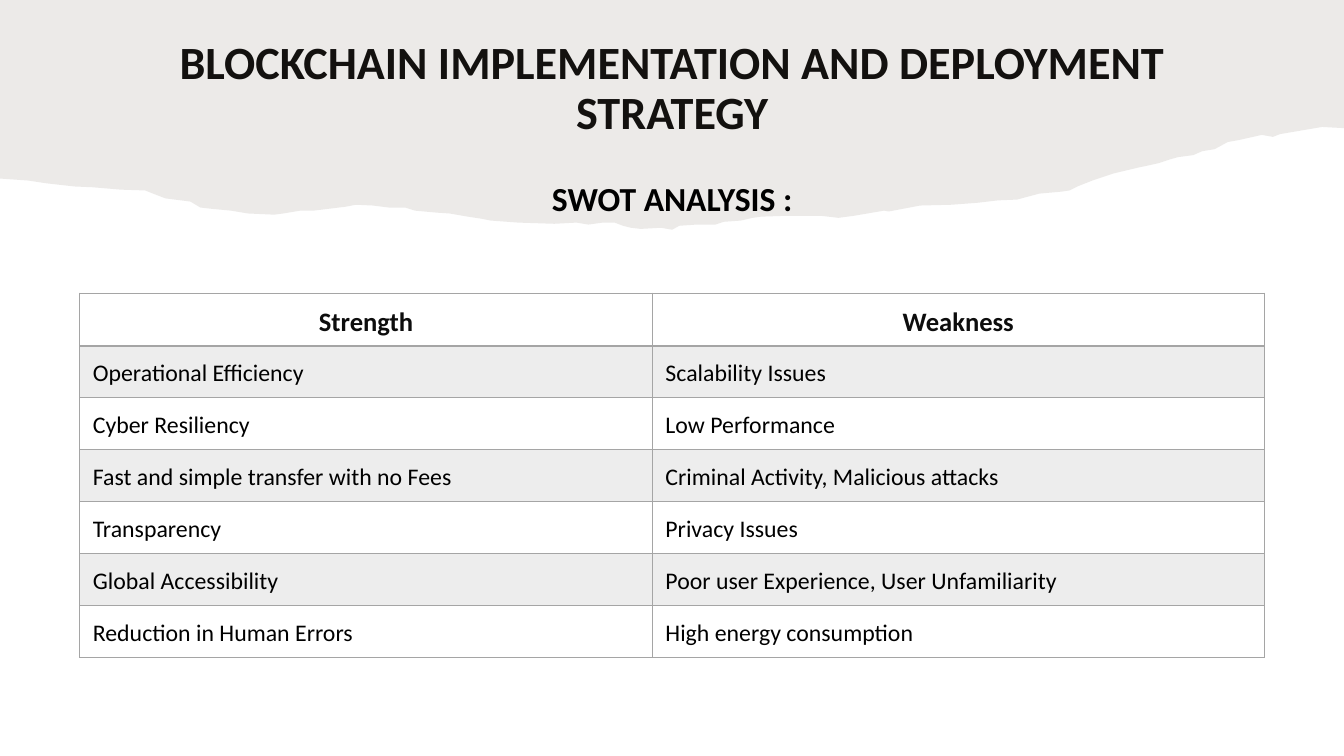
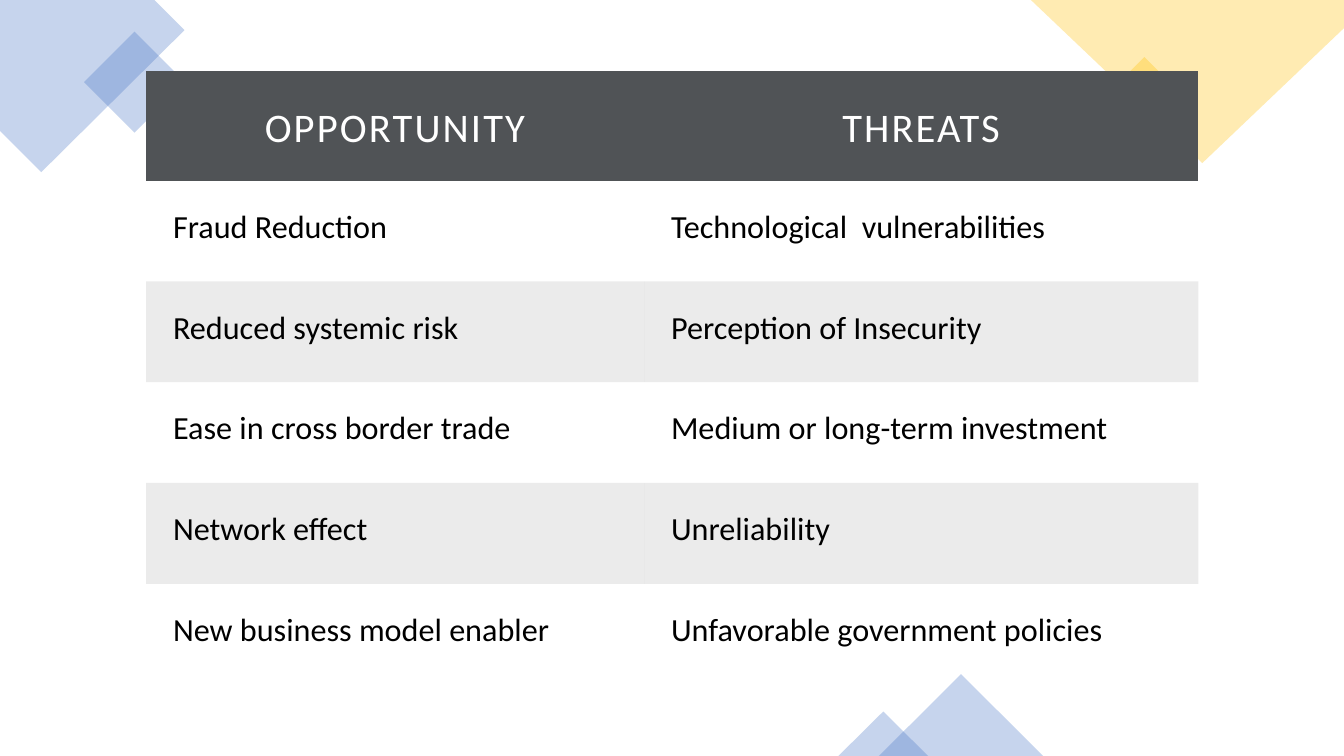
from lxml import etree
from pptx import Presentation
from pptx import util as u
from pptx.dml import color
from pptx.enum import shapes, text
from pptx.oxml import ns

FONT = "Calibri"
BLACK, WHITE, BLUE, GOLD = "000000", "FFFFFF", "4472C4", "FFC000"
GREY, HEADER_GREY, HEADER_INK, PAPER = "A5A5A5", "505356", "0D0D0D", "82766A"
NO_STYLE = "{2D5ABB26-0587-4C30-8999-92F81FD0307C}"
WIDTH, HEIGHT = 33.87, 19.05
CENTER, LEFT = text.PP_ALIGN.CENTER, text.PP_ALIGN.LEFT
TOP, MIDDLE, BOTTOM = (text.MSO_ANCHOR.TOP, text.MSO_ANCHOR.MIDDLE,
                       text.MSO_ANCHOR.BOTTOM)

# Lower edge of the torn paper, right to left, in cm
TORN_EDGE = [
    (33.87, 3.23), (33.32, 3.2), (32.26, 3.38), (32.08, 3.45), (31.8, 3.4),
    (31.22, 3.53), (30.94, 3.58), (30.61, 3.76), (30.3, 3.81), (30.07, 3.91),
    (29.69, 3.96), (29.51, 4.01), (29.21, 4.11), (28.85, 4.19), (28.7, 4.22),
    (28.07, 4.37), (27.53, 4.55), (27.15, 4.7), (26.95, 4.8), (26.75, 4.83),
    (26.19, 4.88), (25.63, 5.03), (25.15, 5.05), (24.64, 5.11), (23.98, 5.16),
    (23.19, 5.18), (22.4, 5.33), (22.28, 5.31), (21.51, 5.44), (21.13, 5.49),
    (20.7, 5.44), (19.79, 5.44), (19.18, 5.46), (18.97, 5.49), (18.67, 5.56),
    (18.24, 5.59), (18.03, 5.66), (17.55, 5.66), (17.12, 5.69), (16.94, 5.79),
    (16.66, 5.74), (16.15, 5.77), (15.9, 5.74), (15.7, 5.69), (15.49, 5.61),
    (15.19, 5.61), (14.83, 5.66), (14.53, 5.61), (13.97, 5.64), (13.06, 5.61),
    (12.37, 5.56), (12.12, 5.51), (11.79, 5.46), (11.33, 5.38), (11.02, 5.36),
    (10.46, 5.31), (10.21, 5.23), (9.8, 5.23), (9.4, 5.18), (8.97, 5.16),
    (8.71, 5.21), (7.9, 5.31), (7.57, 5.31), (7.14, 5.38), (6.91, 5.41),
    (6.25, 5.38), (5.82, 5.31), (5.31, 5.26), (5.05, 5.23), (4.8, 5.08),
    (4.17, 5), (3.86, 4.88), (3.66, 4.8), (3.05, 4.78), (2.34, 4.72),
    (1.88, 4.7), (1.17, 4.62), (0.71, 4.55), (0, 4.5),
]

STRENGTHS = [
    ("Strength", "Weakness"),
    ("Operational Efficiency", "Scalability Issues"),
    ("Cyber Resiliency", "Low Performance"),
    ("Fast and simple transfer with no Fees",
     "Criminal Activity, Malicious attacks"),
    ("Transparency", "Privacy Issues"),
    ("Global Accessibility", "Poor user Experience, User Unfamiliarity"),
    ("Reduction in Human Errors", "High energy consumption"),
]
OPPORTUNITIES = [
    ("OPPORTUNITY", "THREATS"),
    ("Fraud Reduction", "Technological  vulnerabilities"),
    ("Reduced systemic risk", "Perception of Insecurity"),
    ("Ease in cross border trade", "Medium or long-term investment"),
    ("Network effect", "Unreliability"),
    ("New business model enabler", "Unfavorable government policies"),
]


def rgb(value):
    return color.RGBColor.from_string(value)


def paint(fill, properties, value, opacity=100):
    """Solid fill; properties is the XML element that holds it."""
    fill.solid()
    fill.fore_color.rgb = rgb(value)
    if opacity < 100:
        solid = properties.find(ns.qn("a:solidFill"))
        alpha = etree.SubElement(solid[0], ns.qn("a:alpha"))
        alpha.set("val", str(opacity * 1000))


def tint(shape, value, opacity):
    shape.shadow.inherit = False
    shape.line.fill.background()
    paint(shape.fill, shape._element.spPr, value, opacity)


def write(paragraph, words, size, ink=BLACK, bold=False, align=CENTER,
          tracking=0):
    paragraph.alignment = align
    run = paragraph.add_run()
    run.text = words
    font = run.font
    font.name, font.size, font.bold = FONT, u.Pt(size), bold
    font.color.rgb = rgb(ink)
    if tracking:
        run._r.get_or_add_rPr().set("spc", str(round(tracking * 100)))


def heading(shape, box, words, size, anchor):
    """Bold centred heading in a placeholder or text box."""
    shape.left, shape.top, shape.width, shape.height = map(u.Cm, box)
    frame = shape.text_frame
    frame.word_wrap = True
    frame.auto_size = text.MSO_AUTO_SIZE.NONE
    frame.vertical_anchor = anchor
    frame.paragraphs[0].line_spacing = 0.9
    write(frame.paragraphs[0], words, size, bold=True)


def outline(slide, points, value, opacity):
    corners = [(u.Cm(x), u.Cm(y)) for x, y in points]
    builder = slide.shapes.build_freeform(*corners[0])
    builder.add_line_segments(corners[1:], close=True)
    tint(builder.convert_to_shape(), value, opacity)


def preset(slide, kind, box, value, rotation=0):
    shape = slide.shapes.add_shape(kind, *map(u.Cm, box))
    shape.rotation = rotation
    tint(shape, value, 30)


def border(cell, value, **widths):
    """Cell edges by side: L, R, T, B, in that order."""
    properties = cell._tc.get_or_add_tcPr()
    for side, width in widths.items():
        edge = etree.SubElement(properties, ns.qn("a:ln" + side))
        edge.set("w", str(u.Pt(width)))
        solid = etree.SubElement(edge, ns.qn("a:solidFill"))
        etree.SubElement(solid, ns.qn("a:srgbClr")).set("val", value)


def swot_table(slide, origin, columns, heights, rows, insets, header, body_size,
               anchor, band, banded, header_fill=None, grid=None):
    """Two-column table; band is (colour, opacity) for rows in banded."""
    left, top = origin
    head_height, row_height = heights
    total = head_height + row_height * (len(rows) - 1)
    table = slide.shapes.add_table(
        len(rows), len(columns), u.Cm(left), u.Cm(top),
        u.Cm(sum(columns)), u.Cm(total)).table
    table.first_row = table.horz_banding = False
    table._tbl.tblPr.find(ns.qn("a:tableStyleId")).text = NO_STYLE
    for column, width in zip(table.columns, columns):
        column.width = u.Cm(width)

    for r, labels in enumerate(rows):
        table.rows[r].height = u.Cm(row_height if r else head_height)
        for c, label in enumerate(labels):
            cell = table.cell(r, c)
            (cell.margin_left, cell.margin_top, cell.margin_right,
             cell.margin_bottom) = map(u.Cm, insets)
            cell.vertical_anchor = TOP if r else anchor
            if grid:
                border(cell, grid, L=1, R=1, T=2 if r == 1 else 1,
                       B=1 if r else 2)
            properties = cell._tc.get_or_add_tcPr()
            if r == 0 and header_fill:
                paint(cell.fill, properties, header_fill)
            elif r in banded:
                paint(cell.fill, properties, *band)
            else:
                cell.fill.background()
            style = dict(size=body_size, align=LEFT) if r else header
            write(cell.text_frame.paragraphs[0], label, **style)


def strengths_slide(prs):
    slide = prs.slides.add_slide(prs.slide_layouts[5])
    # Torn paper header
    outline(slide, [(0, 0), (WIDTH, 0)] + TORN_EDGE, PAPER, 15)
    # Title and subtitle
    heading(slide.shapes.title, (2.31, 1.37, 29.26, 2.26),
            "BLOCKCHAIN IMPLEMENTATION AND DEPLOYMENT STRATEGY", 33, BOTTOM)
    subtitle_box = (5.23, 4.47, 23.42, 1.09)
    subtitle = slide.shapes.add_textbox(*map(u.Cm, subtitle_box))
    heading(subtitle, subtitle_box, "SWOT ANALYSIS :", 24, TOP)
    # Strengths and weaknesses
    swot_table(slide, (2.01, 7.39), (14.43, 15.42), (1.31, 1.31), STRENGTHS,
               (0.33, 0.33, 0.33, 0.18),
               dict(size=19, ink=HEADER_INK, bold=True), 17, MIDDLE,
               (GREY, 20), range(1, len(STRENGTHS), 2), grid=GREY)


def opportunities_slide(prs):
    slide = prs.slides.add_slide(prs.slide_layouts[6])
    square = shapes.MSO_SHAPE.RECTANGLE
    triangle = shapes.MSO_SHAPE.ISOSCELES_TRIANGLE
    # Top left corner
    outline(slide, [(0, 0), (3.89, 0), (4.65, 0.76), (1.04, 4.34), (0, 3.3)],
            BLUE, 30)
    preset(slide, square, (2.49, 1.17, 1.8, 1.8), BLUE, 45)
    # Top right corner
    preset(slide, square, (27.89, 1.83, 1.9, 1.9), GOLD, 45)
    outline(slide, [(25.98, 0), (WIDTH, 0), (WIDTH, 0.71), (30.3, 4.11)],
            GOLD, 30)
    # Peaks standing on the bottom edge
    for left, width, height in ((22.15, 4.14, 2.06), (21.13, 2.26, 1.12)):
        preset(slide, triangle, (left, HEIGHT - height, width, height), BLUE)
    # Opportunities and threats
    swot_table(slide, (3.68, 1.78), (12.55, 13.97), (2.77, 2.54),
               OPPORTUNITIES, (0.68,) * 4,
               dict(size=29, ink=WHITE, tracking=1.5), 23, BOTTOM,
               (BLACK, 8), range(2, len(OPPORTUNITIES), 2),
               header_fill=HEADER_GREY)


def main():
    prs = Presentation()
    prs.slide_width, prs.slide_height = u.Cm(WIDTH), u.Cm(HEIGHT)
    strengths_slide(prs)
    opportunities_slide(prs)
    prs.save("out.pptx")


if __name__ == "__main__":
    main()
